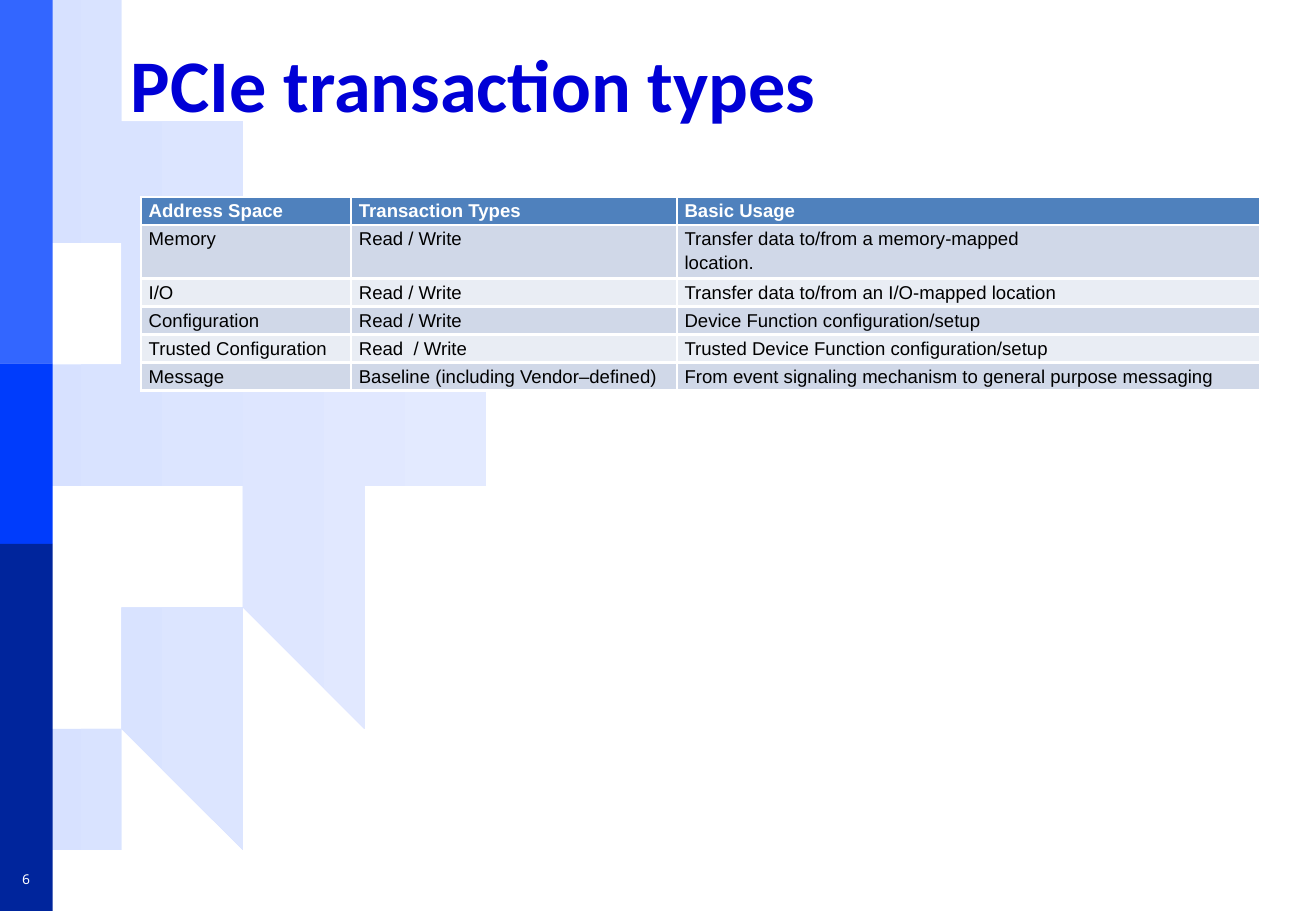
import pptx
import pptx.util
import pptx.dml.color
import pptx.enum.shapes
import pptx.enum.text
import pptx.oxml
import pptx.oxml.ns

SLIDE_WIDTH, SLIDE_HEIGHT = 10.83, 7.5

TITLE = "PCIe transaction types"
SLIDE_NUMBER = "6"
TRANSACTIONS = [
    ("Address Space", "Transaction Types", "Basic Usage"),
    ("Memory", "Read / Write", "Transfer data to/from a memory-mapped\nlocation."),
    ("I/O", "Read / Write", "Transfer data to/from an I/O-mapped location"),
    ("Configuration", "Read / Write", "Device Function configuration/setup"),
    ("Trusted Configuration", "Read  / Write", "Trusted Device Function configuration/setup"),
    ("Message", "Baseline (including Vendor–defined)",
     "From event signaling mechanism to general purpose messaging"),
]
COLUMN_SHARES = (0.1597, 0.2475, 0.4432)
LINE_SHARE = 0.027
CELL_PADDING_SHARE = 0.003
HEADER_FILL, BAND_FILLS = "4F81BD", ("E9EDF4", "D0D8E8")

BAR_WIDTH = 0.04
BARS = [(0, 0.399, "3366FF"), (0.399, 0.597, "003CFC"), (0.597, 1, "00259C")]

GEAR_COLORS = ("D7E1FF", "E3EAFF")
GEAR_OUTLINE = [
    (1.73, 2.99), (0, 2.99), (0, 4.48), (1.73, 4.49), (1.67, 4.61), (1.6, 4.72),
    (1.55, 4.84), (1.47, 4.95), (1.39, 5.04), (1.3, 5.12), (1.19, 5.22), (1.11, 5.28),
    (1, 5.36), (0.89, 5.43), (0.78, 5.51), (0.65, 5.55), (0.54, 5.61), (0.42, 5.64),
    (0.28, 5.68), (0.14, 5.7), (0.14, 7.49), (0.29, 7.46), (0.42, 7.45), (0.55, 7.42),
    (0.7, 7.39), (0.7, 6.59), (0.87, 6.54), (1, 6.49), (1.14, 6.43), (1.28, 6.35),
    (1.86, 6.91), (1.99, 6.84), (2.08, 6.77), (2.19, 6.69), (2.32, 6.62), (1.92, 5.91),
    (2.06, 5.78), (2.15, 5.68), (2.25, 5.55), (2.36, 5.42), (3.14, 5.66), (3.2, 5.55),
    (3.27, 5.43), (3.33, 5.34), (3.38, 5.2), (2.73, 4.72), (2.75, 4.57), (2.81, 4.42),
    (2.82, 4.35), (2.83, 4.27), (2.86, 4.12), (3.67, 4), (3.7, 3.85), (3.7, 3.73),
    (3.7, 3.59), (3.67, 3.47), (2.86, 3.34), (2.83, 3.2), (2.81, 3.05), (2.75, 2.91),
    (2.73, 2.73), (3.38, 2.27), (3.33, 2.14), (3.27, 2.04), (3.2, 1.92), (3.14, 1.8),
    (2.36, 2.05), (2.25, 1.92), (2.15, 1.8), (2.06, 1.69), (1.92, 1.57), (2.32, 0.85),
    (2.19, 0.77), (2.08, 0.7), (1.99, 0.62), (1.86, 0.55), (1.28, 1.12), (1.14, 1.04),
    (1, 0.99), (0.87, 0.93), (0.7, 0.88), (0.7, 0.08), (0.55, 0.05), (0.42, 0.03),
    (0.29, 0.01), (0.14, 0), (0.14, 1.76), (0.28, 1.8), (0.42, 1.81), (0.54, 1.86),
    (0.65, 1.91), (0.78, 1.96), (0.89, 2.01), (1, 2.09), (1.11, 2.16), (1.19, 2.26),
    (1.3, 2.34), (1.39, 2.42), (1.47, 2.53), (1.55, 2.64), (1.6, 2.76), (1.67, 2.86),
]


def color(value):
    return pptx.dml.color.RGBColor.from_string(value)


def across(share):
    return pptx.util.Inches(share * SLIDE_WIDTH)


def down(share):
    return pptx.util.Inches(share * SLIDE_HEIGHT)


def place(left, top, width, height):
    return across(left), down(top), across(width), down(height)


def set_font(paragraph, name, size, value, bold=False):
    font = paragraph.font
    font.name, font.size, font.bold = name, pptx.util.Pt(size), bold
    font.color.rgb = color(value)


def add_gear(slide):
    builder = slide.shapes.build_freeform(*GEAR_OUTLINE[0], scale=pptx.util.Inches(1))
    builder.add_line_segments(GEAR_OUTLINE[1:], close=True)
    gear = builder.convert_to_shape()
    gear.shadow.inherit = False
    gear.line.fill.background()
    gear.fill.gradient()
    gear.fill.gradient_angle = 0
    for position, (stop, value) in enumerate(zip(gear.fill.gradient_stops, GEAR_COLORS)):
        stop.position = position
        stop.color.rgb = color(value)


def add_bar(slide, top, bottom, value):
    bar = slide.shapes.add_shape(pptx.enum.shapes.MSO_SHAPE.RECTANGLE,
                                 *place(0, top, BAR_WIDTH, bottom - top))
    bar.shadow.inherit = False
    bar.fill.solid()
    bar.fill.fore_color.rgb = color(value)
    bar.line.fill.background()


def add_text(slide, text, box, alignment, wrap, *font):
    frame = slide.shapes.add_textbox(*place(*box)).text_frame
    frame.word_wrap = wrap
    frame.vertical_anchor = pptx.enum.text.MSO_ANCHOR.MIDDLE
    frame.text = text
    paragraph = frame.paragraphs[0]
    paragraph.alignment = alignment
    set_font(paragraph, *font)


def add_borders(cell):
    properties = cell._tc.get_or_add_tcPr()
    for index, side in enumerate("LRTB"):
        properties.insert(index, pptx.oxml.parse_xml(
            f'<a:ln{side} {pptx.oxml.ns.nsdecls("a")} w="{pptx.util.Pt(1.5)}">'
            f'<a:solidFill><a:srgbClr val="FFFFFF"/></a:solidFill></a:ln{side}>'))


def fill_cell(cell, text, is_header, fill):
    cell.margin_left = cell.margin_right = across(2 * CELL_PADDING_SHARE)
    cell.margin_top = cell.margin_bottom = pptx.util.Inches(0.01)
    cell.text = text
    for paragraph in cell.text_frame.paragraphs:
        paragraph.line_spacing = 1.15
        set_font(paragraph, "Arial", 11, "FFFFFF" if is_header else "000000", is_header)
    cell.fill.solid()
    cell.fill.fore_color.rgb = color(fill)
    add_borders(cell)


def add_transactions(slide):
    line_counts = [max(text.count("\n") + 1 for text in row) for row in TRANSACTIONS]
    row_shares = [LINE_SHARE * count + CELL_PADDING_SHARE for count in line_counts]
    box = place(0.107, 0.216, sum(COLUMN_SHARES), sum(row_shares))
    table = slide.shapes.add_table(len(TRANSACTIONS), len(COLUMN_SHARES), *box).table
    for column, share in zip(table.columns, COLUMN_SHARES):
        column.width = across(share)
    for row_index, texts in enumerate(TRANSACTIONS):
        table.rows[row_index].height = down(row_shares[row_index])
        is_header = row_index == 0
        fill = HEADER_FILL if is_header else BAND_FILLS[row_index % 2]
        for column_index, text in enumerate(texts):
            fill_cell(table.cell(row_index, column_index), text, is_header, fill)


def main():
    presentation = pptx.Presentation()
    presentation.slide_width, presentation.slide_height = across(1), down(1)
    slide = presentation.slides.add_slide(presentation.slide_layouts[6])
    alignments = pptx.enum.text.PP_ALIGN
    add_gear(slide)
    for bar in BARS:
        add_bar(slide, *bar)
    add_text(slide, TITLE, (0.0905, 0.028, 0.867, 0.125), alignments.LEFT, True,
             "Calibri", 44, "0000D6", True)
    add_text(slide, SLIDE_NUMBER, (0, 0.948, BAR_WIDTH, 0.035), alignments.CENTER, False,
             "Noto Sans Mono", 8, "FFFFFF")
    add_transactions(slide)
    presentation.save("out.pptx")


if __name__ == "__main__":
    main()
